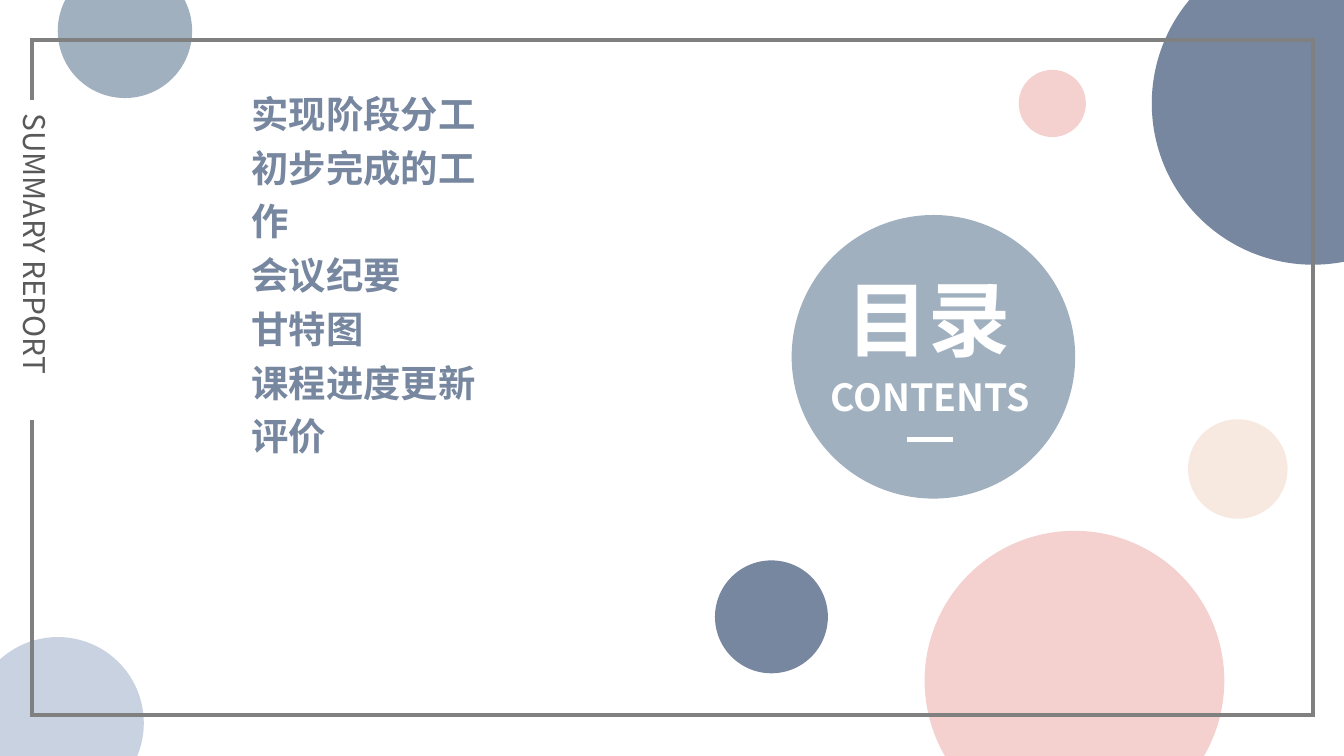
"""Build the contents slide with its circles, frame and list of topics."""
from lxml import etree
from pptx import Presentation
from pptx.dml.color import RGBColor
from pptx.enum.shapes import MSO_CONNECTOR, MSO_SHAPE
from pptx.enum.text import MSO_ANCHOR, MSO_AUTO_SIZE, PP_ALIGN
from pptx.oxml.ns import qn
from pptx.util import Inches, Pt

ELLIPSE, RECTANGLE = MSO_SHAPE.OVAL, MSO_SHAPE.RECTANGLE
STRAIGHT = MSO_CONNECTOR.STRAIGHT
TOP, MIDDLE = MSO_ANCHOR.TOP, MSO_ANCHOR.MIDDLE
LEFT, CENTER = PP_ALIGN.LEFT, PP_ALIGN.CENTER
NO_AUTOFIT = MSO_AUTO_SIZE.NONE

FONT = "Noto Sans CJK SC"
WHITE, GREY, DARK_GREY = "FFFFFF", "808080", "595959"
SLATE, MIST, PINK, CREAM, PALE_BLUE = "7787A0", "A0B0BF", "F4D1CF", "F7E9E0", "C9D2E1"

BACK_CIRCLES = [
    (5.89, 1.6, 2.11, MIST),
    (8.57, -0.43, 2.4, SLATE),
    (6.88, 3.95, 2.23, PINK),
    (8.84, 3.12, 0.74, CREAM),
    (0.43, -0.27, 1, MIST),
    (-0.21, 4.74, 1.28, PALE_BLUE),
    (5.32, 4.17, 0.84, SLATE),
]
FRONT_CIRCLE = (7.58, 0.52, 0.5, PINK)
TOPICS = ["实现阶段分工", "初步完成的工作", "会议纪要", "甘特图", "课程进度更新", "评价"]


def color(value):
    """Turn a hex string into a colour."""
    return RGBColor.from_string(value)


def place(shape, left, top, width, height):
    """Move and size a shape, in inches."""
    shape.left, shape.top = Inches(left), Inches(top)
    shape.width, shape.height = Inches(width), Inches(height)


def add_preset(slide, preset, box, fill=None, line=None):
    """Add a preset shape with an optional fill and sharp outline."""
    shape = slide.shapes.add_shape(preset, *map(Inches, box))
    shape.shadow.inherit = False
    if fill:
        shape.fill.solid()
        shape.fill.fore_color.rgb = color(fill)
    else:
        shape.fill.background()
    if line:
        shape.line.color.rgb = color(line)
        shape.line.width = Pt(2.25)
        outline = shape.element.spPr.find(qn("a:ln"))
        etree.SubElement(outline, qn("a:miter")).set("lim", "800000")
    else:
        shape.line.fill.background()
    return shape


def add_circle(slide, left, top, diameter, fill):
    """Add a filled circle."""
    return add_preset(slide, ELLIPSE, (left, top, diameter, diameter), fill=fill)


def write(shape, *lines, size=20, fill=WHITE, bold=True, align=LEFT, anchor=MIDDLE, spacing=1.0):
    """Write one paragraph per line in a shared format."""
    frame = shape.text_frame
    frame.text = "\n".join(lines)
    frame.auto_size = NO_AUTOFIT
    frame.word_wrap = True
    frame.vertical_anchor = anchor
    for paragraph in frame.paragraphs:
        paragraph.alignment = align
        paragraph.line_spacing = spacing
        paragraph.space_before = paragraph.space_after = Pt(0)
        for run in paragraph.runs:
            run.font.size, run.font.bold = Pt(size), bold
            run.font.color.rgb = color(fill)
            run.font.name = FONT
            east_asian = etree.SubElement(run.font._element, qn("a:ea"))
            east_asian.set("typeface", FONT)


def remove_bullets(shape):
    """Clear the bullets and indents of a list."""
    for paragraph in shape.text_frame.paragraphs:
        properties = paragraph._p.get_or_add_pPr()
        properties.set("marL", "0")
        properties.set("indent", "0")
        etree.SubElement(properties, qn("a:buNone"))


def bring_to_front(shape):
    """Put a shape above all the others."""
    shape.element.getparent().append(shape.element)


def add_line(slide, start, end, line):
    """Add a straight line without a shadow."""
    connector = slide.shapes.add_connector(STRAIGHT, *map(Inches, start + end))
    connector.line.color.rgb = color(line)
    connector.line.width = Pt(2.25)
    etree.SubElement(connector.element.spPr, qn("a:effectLst"))


def add_side_label(slide):
    """Add the rotated label that interrupts the frame."""
    label = add_preset(slide, RECTANGLE, (-0.93, 1.75, 2.38, 0.37), fill=WHITE)
    label.rotation = 90
    write(label, "SUMMARY REPORT", size=16, fill=DARK_GREY, bold=False)


def fill_topics(body):
    """Write the list of topics into the body placeholder."""
    place(body, 1.77, 0.56, 2.1, 2.52)
    write(body, *TOPICS, fill=SLATE, anchor=TOP, spacing=1.2)
    remove_bullets(body)
    bring_to_front(body)


def fill_heading(slide, title):
    """Write the heading, its subtitle and the short rule below."""
    place(title, 6.2, 1.94, 1.44, 0.84)
    write(title, "目录", size=44)
    bring_to_front(title)
    subtitle = slide.shapes.add_textbox(*map(Inches, (6.03, 2.73, 1.78, 0.44)))
    write(subtitle, "CONTENTS", align=CENTER)
    add_line(slide, (6.75, 3.27), (7.09, 3.27), WHITE)


def main():
    """Build and save the presentation."""
    presentation = Presentation()
    presentation.slide_width = Inches(10)
    presentation.slide_height = Inches(10 * 9 / 16)
    slide = presentation.slides.add_slide(presentation.slide_layouts[1])
    for circle in BACK_CIRCLES:
        add_circle(slide, *circle)
    add_preset(slide, RECTANGLE, (0.24, 0.3, 9.53, 5.02), line=GREY)
    add_side_label(slide)
    add_circle(slide, *FRONT_CIRCLE)
    fill_topics(slide.placeholders[1])
    fill_heading(slide, slide.shapes.title)
    presentation.save("out.pptx")


if __name__ == "__main__":
    main()
